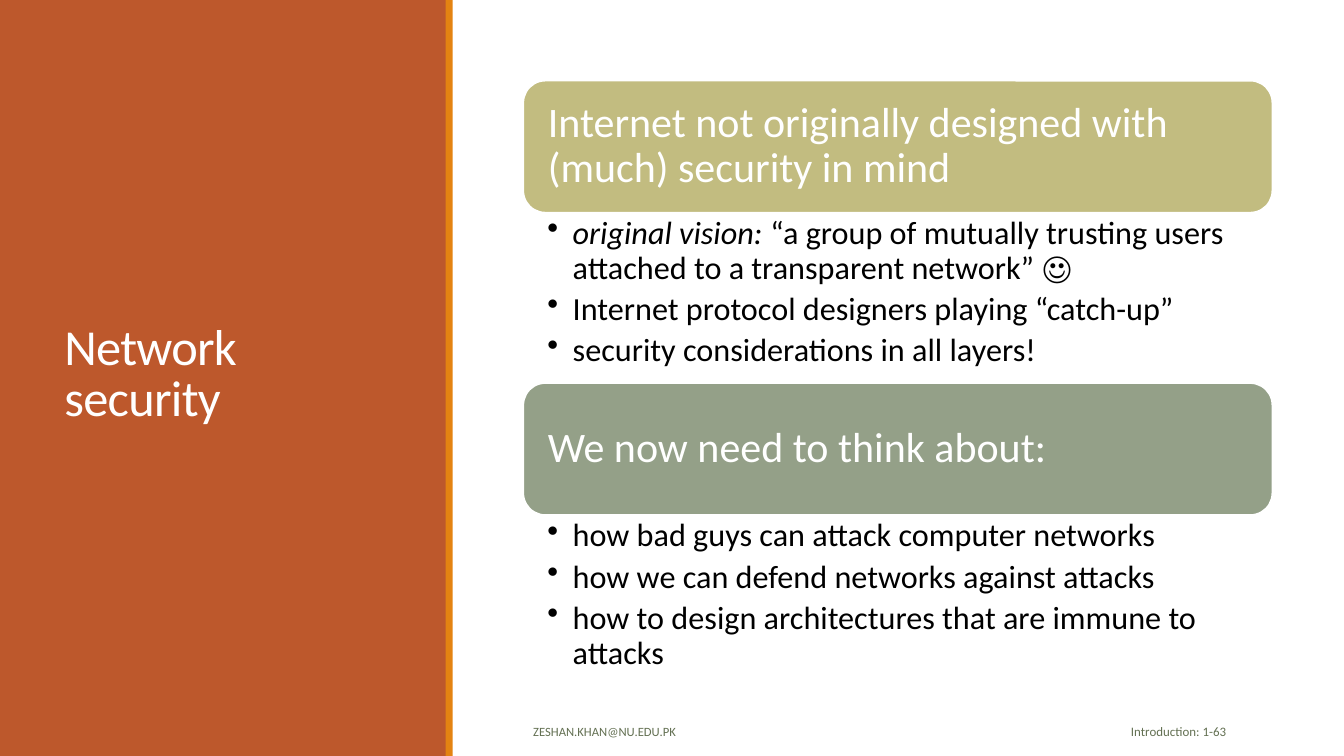
from pptx import Presentation
from pptx.dml.color import RGBColor
from pptx.enum import shapes, text
from pptx.oxml import parse_xml
from pptx.oxml.ns import nsdecls
from pptx.util import Inches, Pt

RUST = RGBColor(0xBD, 0x58, 0x2C)
ORANGE = RGBColor(0xE4, 0x83, 0x12)
KHAKI = RGBColor(0xC2, 0xBC, 0x80)
SAGE = RGBColor(0x94, 0xA0, 0x88)
MOSS = RGBColor(0x63, 0x70, 0x52)
WHITE = RGBColor(0xFF, 0xFF, 0xFF)
BLACK = RGBColor(0, 0, 0)

TITLE = "Network security"
EMAIL = "ZESHAN.KHAN@NU.EDU.PK"
PAGE = "Introduction: 1-63"
# Each bullet is a list of (text, italic) runs.
SECTIONS = [
    ("Internet not originally designed with (much) security in mind", KHAKI, [
        [("original vision:", True),
         (" “a group of mutually trusting users attached to a transparent network” ☺", False)],
        [("Internet protocol designers playing “catch-up”", False)],
        [("security considerations in all layers!", False)],
    ]),
    ("We now need to think about:", SAGE, [
        [("how bad guys can attack computer networks", False)],
        [("how we can defend networks against attacks", False)],
        [("how to design architectures that are immune to attacks", False)],
    ]),
]

WIDTH, HEIGHT = 13.33, 7.5
LEFT, SECTION_W = 5.19, 7.43
TOP, HEAD_H, LIST_H = 0.8, 1.31, 1.69


def add_block(s, kind, box, fill, line=None):
    sp = s.shapes.add_shape(kind, *map(Inches, box))
    sp.shadow.inherit = False
    sp.fill.solid()
    sp.fill.fore_color.rgb = fill
    if line is None:
        sp.line.fill.background()
    else:
        sp.line.color.rgb = line
        sp.line.width = Pt(1.25)
    return sp


def add_text_box(s, box):
    return s.shapes.add_textbox(*map(Inches, box))


def write(sp, paragraphs, size, color, align=text.PP_ALIGN.LEFT,
          anchor=text.MSO_ANCHOR.MIDDLE, insets=(0.1, 0.05, 0.1, 0.05),
          line=1.0, after=0, bullet=False, tracking=0):
    """Fill a shape with paragraphs, each a string or a list of (text, italic) runs."""
    tf = sp.text_frame
    tf.word_wrap = True
    tf.vertical_anchor = anchor
    tf.margin_left, tf.margin_top, tf.margin_right, tf.margin_bottom = map(Inches, insets)
    for i, runs in enumerate(paragraphs):
        p = tf.add_paragraph() if i else tf.paragraphs[0]
        p.alignment = align
        p.line_spacing = line
        p.space_after = Pt(after)
        if bullet:
            pPr = p._p.get_or_add_pPr()
            pPr.set("marL", str(Inches(0.25)))
            pPr.set("indent", str(Inches(-0.25)))
            pPr.append(parse_xml(f'<a:buChar {nsdecls("a")} char="•"/>'))
        for words, italic in [(runs, False)] if isinstance(runs, str) else runs:
            r = p.add_run()
            r.text = words
            r.font.name = "Calibri"
            r.font.size = Pt(size)
            r.font.color.rgb = color
            r.font.italic = italic
            if tracking:
                r.font._element.set("spc", str(int(tracking * 100)))


def main():
    prs = Presentation()
    prs.slide_width, prs.slide_height = Inches(WIDTH), Inches(HEIGHT)
    s = prs.slides.add_slide(prs.slide_layouts[6])
    rect, rounded = shapes.MSO_SHAPE.RECTANGLE, shapes.MSO_SHAPE.ROUNDED_RECTANGLE

    add_block(s, rect, (0, 0, 4.43, HEIGHT), RUST)
    add_block(s, rect, (4.42, 0, 0.07, HEIGHT), ORANGE)
    write(add_text_box(s, (0.54, 0.57, 3.37, 6.31)), [TITLE], 36, WHITE,
          line=0.85, tracking=-0.5)

    for i, (heading, fill, bullets) in enumerate(SECTIONS):
        top = TOP + i * (HEAD_H + LIST_H)
        head = add_block(s, rounded, (LEFT, top, SECTION_W, HEAD_H), fill, WHITE)
        write(head, [heading], 30, WHITE, line=0.9, insets=(0.18, 0.18, 0.18, 0.18))
        body = add_text_box(s, (LEFT, top + HEAD_H, SECTION_W, LIST_H))
        write(body, bullets, 23, BLACK, anchor=text.MSO_ANCHOR.TOP, line=0.9,
              after=4.6, bullet=True, insets=(0.24, 0.04, 0.23, 0.04))

    write(add_text_box(s, (LEFT, 7.06, 5.58, 0.4)), [EMAIL], 9, MOSS, after=6)
    write(add_text_box(s, (11.07, 7.06, 1.19, 0.4)), [PAGE], 9.2, MOSS,
          align=text.PP_ALIGN.RIGHT, after=6)
    prs.save("out.pptx")


if __name__ == "__main__":
    main()
